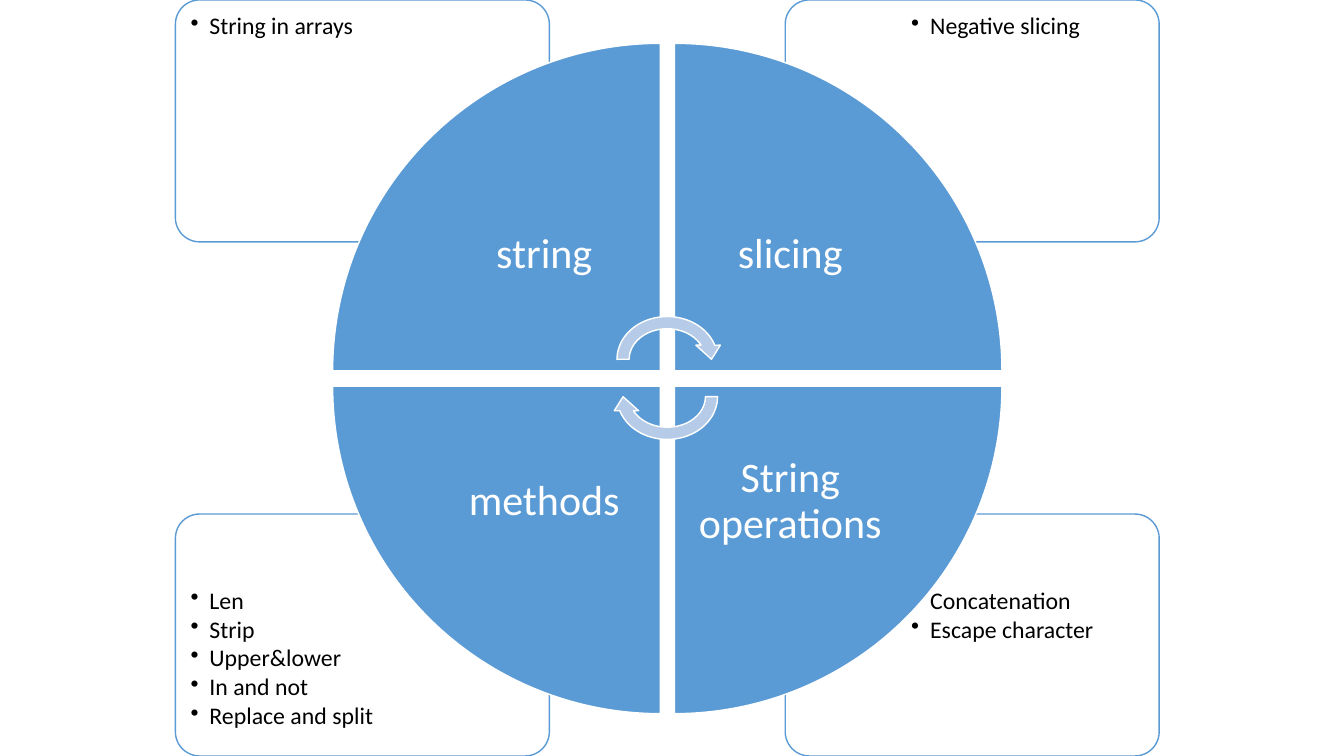
from lxml import etree
from pptx import Presentation, util as u
from pptx.dml.color import RGBColor
from pptx.enum import shapes, text
from pptx.oxml import ns

BLUE, PALE, WHITE, BLACK = "5B9BD5", "B5CBE7", "FFFFFF", "000000"
KIND = shapes.MSO_SHAPE
CARD_LEFT, CARD_TOP = (125.28, 560.88), (0, 367.2)
LIST_LEFT, LIST_TOP = (129.6, 644.4), (3.6, 414)
WEDGE_LEFT, WEDGE_TOP = (237.6, 481.68), (30.96, 275.76)
LABEL_LEFT, LABEL_TOP = (306, 481.68), (99.36, 275.76)
QUARTERS = [
    (1, 1, 180, "String operations", ["Concatenation", "Escape character"]),
    (0, 1, 270, "methods",
     ["Len", "Strip", "Upper&lower", "In and not", "Replace and split"]),
    (1, 0, 90, "slicing", ["Negative slicing"]),
    (0, 0, 0, "string", ["String in arrays"]),
]
LIST_STYLE = {"level": 1, "line_spacing": 0.9, "space_after": u.Pt(2.25)}
LABEL_STYLE = {"alignment": text.PP_ALIGN.CENTER, "line_spacing": 0.9}


def apply(target, values):
    """Set every attribute named in a dict of format values."""
    for name, value in values.items():
        setattr(target, name, value)


def paint(color_format, color):
    """Set a fill or font colour from a hex string."""
    color_format.rgb = RGBColor.from_string(color)


def add_form(page, kind, bounds, fill, line, rotation=0):
    """Add a filled and outlined preset shape."""
    form = page.shapes.add_shape(kind, *map(u.Pt, bounds))
    form.shadow.inherit = False
    form.rotation = rotation
    form.fill.solid()
    paint(form.fill.fore_color, fill)
    paint(form.line.color, line)
    form.line.width = u.Pt(1)
    return form


def add_text(page, bounds, inset, lines, size, color, style, anchor):
    """Add a wrapped text box with one paragraph per line."""
    box = page.shapes.add_textbox(*map(u.Pt, bounds))
    frame = box.text_frame
    apply(frame, {"word_wrap": True, "vertical_anchor": anchor})
    apply(frame, {f"margin_{side}": u.Pt(inset)
                  for side in ("left", "top", "right", "bottom")})
    for index, line in enumerate(lines):
        para = frame.add_paragraph() if index else frame.paragraphs[0]
        apply(para, style)
        span = para.add_run()
        span.text = line
        apply(span.font, {"name": "Calibri", "size": u.Pt(size)})
        paint(span.font.color, color)
    return box


def add_bullet(para, indent):
    """Give a paragraph a round bullet with a hanging indent."""
    properties = para._p.get_or_add_pPr()
    properties.set("marL", str(u.Pt(indent)))
    properties.set("indent", str(-u.Pt(indent)))
    etree.SubElement(properties, ns.qn("a:buChar")).set("char", "•")


def add_card(page, column, row, lines):
    """Add a corner card with its bulleted list."""
    bounds = (CARD_LEFT[column], CARD_TOP[row], 267.12, 172.8)
    card = add_form(page, KIND.ROUNDED_RECTANGLE, bounds, WHITE, BLUE)
    card.adjustments[0] = 0.1
    color = card.fill._xPr.find(".//" + ns.qn("a:srgbClr"))
    etree.SubElement(color, ns.qn("a:alpha")).set("val", "90000")
    bounds = (LIST_LEFT[column], LIST_TOP[row], 179.28, 121.68)
    box = add_text(page, bounds, 6.5, lines, 17, BLACK, LIST_STYLE,
                   text.MSO_ANCHOR.TOP)
    for para in box.text_frame.paragraphs:
        add_bullet(para, 13.5)


def add_wedge(page, column, row, rotation, label):
    """Add a quarter of the circle with its label."""
    bounds = (WEDGE_LEFT[column], WEDGE_TOP[row], 234, 234)
    add_form(page, KIND.PIE_WEDGE, bounds, BLUE, WHITE, rotation)
    bounds = (LABEL_LEFT[column], LABEL_TOP[row], 165.6, 165.6)
    add_text(page, bounds, 16.5, [label], 30, WHITE, LABEL_STYLE,
             text.MSO_ANCHOR.MIDDLE)


def main():
    """Build the string cycle slide."""
    deck = Presentation()
    apply(deck, {"slide_width": u.Pt(960), "slide_height": u.Pt(540)})
    page = deck.slides.add_slide(deck.slide_layouts[6])
    for column, row, _, _, lines in QUARTERS:
        add_card(page, column, row, lines)
    for column, row, rotation, label, _ in reversed(QUARTERS):
        add_wedge(page, column, row, rotation, label)
    for top, rotation in ((221.76, 0), (248.4, 180)):
        add_form(page, KIND.CIRCULAR_ARROW, (436.32, top, 80.64, 69.84),
                 PALE, WHITE, rotation)
    deck.save("out.pptx")


main()
